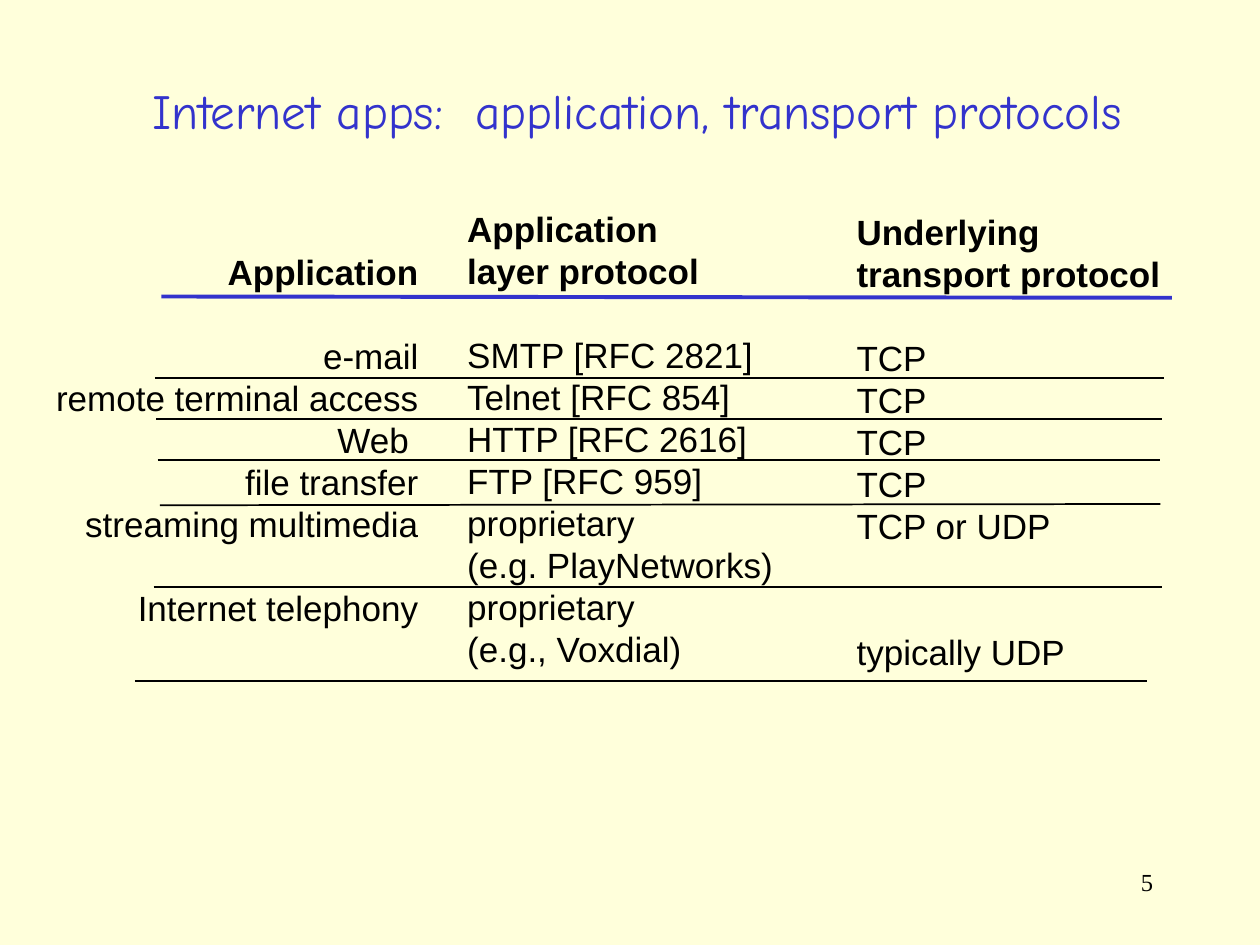
from lxml.etree import SubElement
from pptx import Presentation
from pptx.dml.color import RGBColor
from pptx.enum.shapes import MSO_CONNECTOR
from pptx.enum.text import MSO_ANCHOR, MSO_AUTO_SIZE, PP_ALIGN
from pptx.oxml.ns import qn
from pptx.util import Inches, Pt

CREAM = RGBColor(0xFF, 0xFF, 0xDB)
BLUE = RGBColor(0x33, 0x33, 0xCC)
BLACK = RGBColor(0, 0, 0)
SLIDE_W, SLIDE_H = Inches(10), Inches(7.5)
ROW = Pt(24)
PAD = Inches(0.05)

COLUMNS = [
    (3, 1.02, 31.2, PP_ALIGN.RIGHT, False, 1, [
        (0, "Application"), (1, "e-mail"), (0, "remote terminal access"), (0, "Web "),
        (0, "file transfer"), (0, "streaming multimedia"), (1, "Internet telephony")]),
    (36.1, 0, 26.6, PP_ALIGN.LEFT, False, 2, [
        (0, "Application"), (0, "layer protocol"), (1, "SMTP [RFC 2821]"),
        (0, "Telnet [RFC 854]"), (0, "HTTP [RFC 2616]"), (0, "FTP [RFC 959]"),
        (0, "proprietary"), (0, "(e.g. PlayNetworks)"), (0, "proprietary"),
        (0, "(e.g., Voxdial)")]),
    (67, 0.06, 28.7, PP_ALIGN.LEFT, True, 2, [
        (0, "Underlying"), (0, "transport protocol"), (1, "TCP"), (0, "TCP"), (0, "TCP"),
        (0, "TCP"), (0, "TCP or UDP"), (2, "typically UDP")]),
]
RULES = [
    (12.8, 2.11, 93, 2.14, BLUE, 2.25),
    (12.3, 4.05, 92.4, 4.05, BLACK, 1),
    (12.4, 5.02, 92.2, 5.02, BLACK, 1),
    (12.5, 6, 92.1, 6, BLACK, 1),
    (12.7, 7.08, 92.1, 7.05, BLACK, 1),
    (12.2, 9.03, 92.2, 9.03, BLACK, 1),
    (10.7, 11.26, 91, 11.26, BLACK, 1),
]


def style_font(font, name, size, color, bold=False):
    """Apply a typeface, size, colour and weight."""
    font.name, font.size, font.bold = name, Pt(size), bold
    font.color.rgb = color


def add_title(s, left, top, width, height):
    """Place the slide title in its box."""
    title = s.shapes.title
    title.left, title.top, title.width, title.height = left, top, width, height
    tf = title.text_frame
    tf.text = "Internet apps:  application, transport protocols"
    tf.vertical_anchor = MSO_ANCHOR.MIDDLE
    p = tf.paragraphs[0]
    p.alignment = PP_ALIGN.CENTER
    style_font(p.runs[0].font, "Comic Neue", 28, BLUE)


def add_column(s, left, top, width, align, wrap, headings, lines):
    """Write lines of (empty rows above, wording), the first ones as headings."""
    rows = sum(gap + 1 for gap, _ in lines)
    tf = s.shapes.add_textbox(left, top, width, rows * ROW + 2 * PAD).text_frame
    tf.word_wrap = wrap
    tf.auto_size = MSO_AUTO_SIZE.SHAPE_TO_FIT_TEXT
    for i, (gap, wording) in enumerate(lines):
        p = tf.add_paragraph() if i else tf.paragraphs[0]
        p.text = wording
        p.alignment = align
        p.line_spacing = ROW
        p.space_before = gap * ROW
        style_font(p.runs[0].font, "Arial", 20, BLACK, i < headings)


def add_rule(s, x1, y1, x2, y2, color, weight):
    """Draw one straight rule."""
    line = s.shapes.add_connector(MSO_CONNECTOR.STRAIGHT, x1, y1, x2, y2)
    line.line.color.rgb = color
    line.line.width = Pt(weight)
    SubElement(line._element.spPr, qn("a:effectLst"))


def add_protocols(s, left, top, width):
    """Lay out columns and rules by percent of the width and by text rows."""
    unit = width / 100
    for x, row, share, *content in COLUMNS:
        add_column(s, left + int(x * unit), top + int(row * ROW), int(share * unit), *content)
    for x1, row1, x2, row2, color, weight in RULES:
        add_rule(s, left + int(x1 * unit), top + PAD + int(row1 * ROW),
                 left + int(x2 * unit), top + PAD + int(row2 * ROW), color, weight)


def add_page_number(s, left, top, width, height):
    """Write the page number at the right of its box."""
    tf = s.shapes.add_textbox(left, top, width, height).text_frame
    tf.word_wrap = True
    tf.text = "5"
    p = tf.paragraphs[0]
    p.alignment = PP_ALIGN.RIGHT
    style_font(p.runs[0].font, "Times New Roman", 14, BLACK)


def main():
    """Build and save the slide."""
    prs = Presentation()
    prs.slide_width, prs.slide_height = SLIDE_W, SLIDE_H
    s = prs.slides.add_slide(prs.slide_layouts[5])
    s.background.fill.solid()
    s.background.fill.fore_color.rgb = CREAM
    add_title(s, Inches(0.27), Inches(0.25), Inches(9.57), Inches(1.25))
    add_protocols(s, 0, Inches(1.6), SLIDE_W)
    add_page_number(s, Inches(7.17), Inches(6.83), Inches(2.08), Inches(0.5))
    prs.save("out.pptx")


if __name__ == "__main__":
    main()
